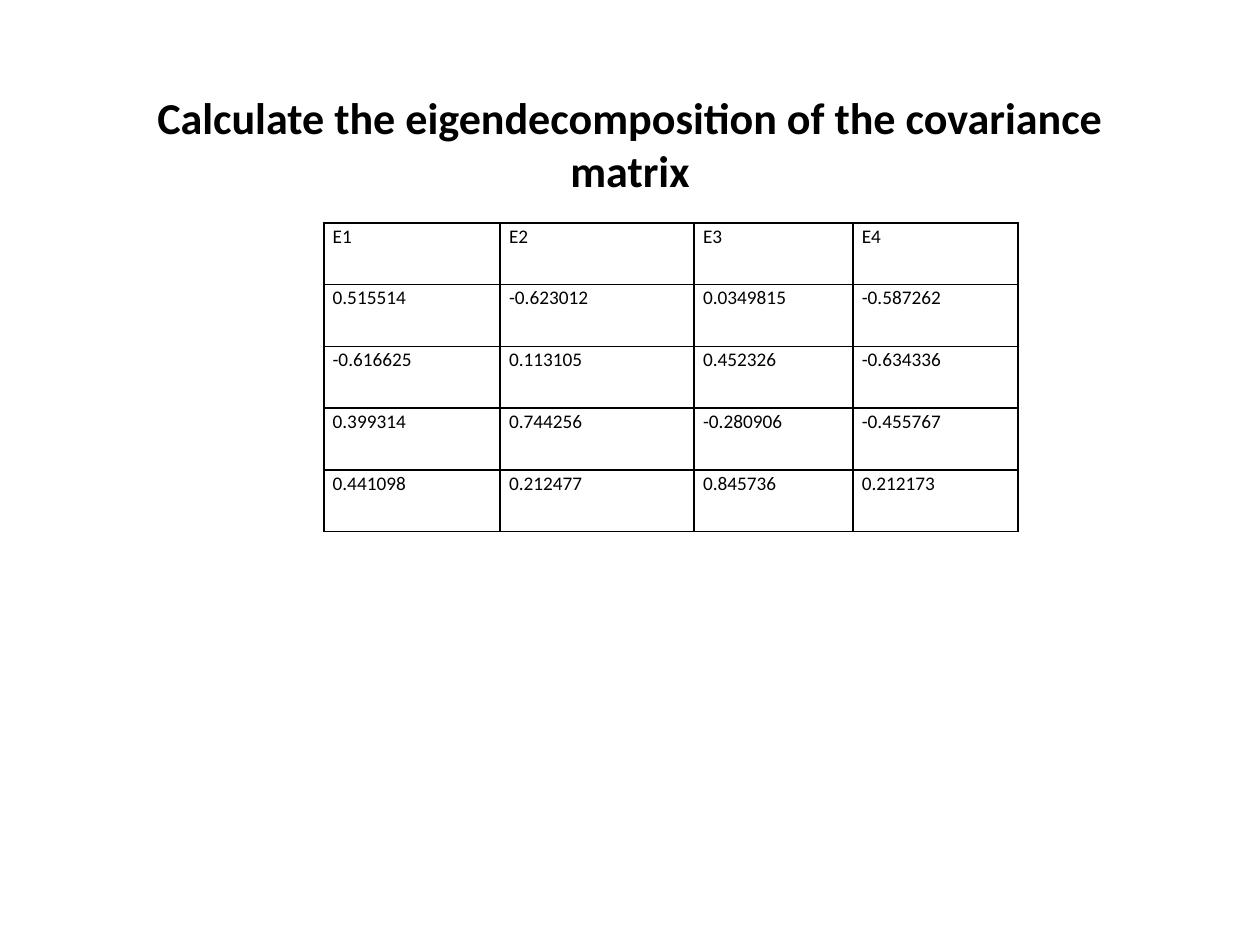
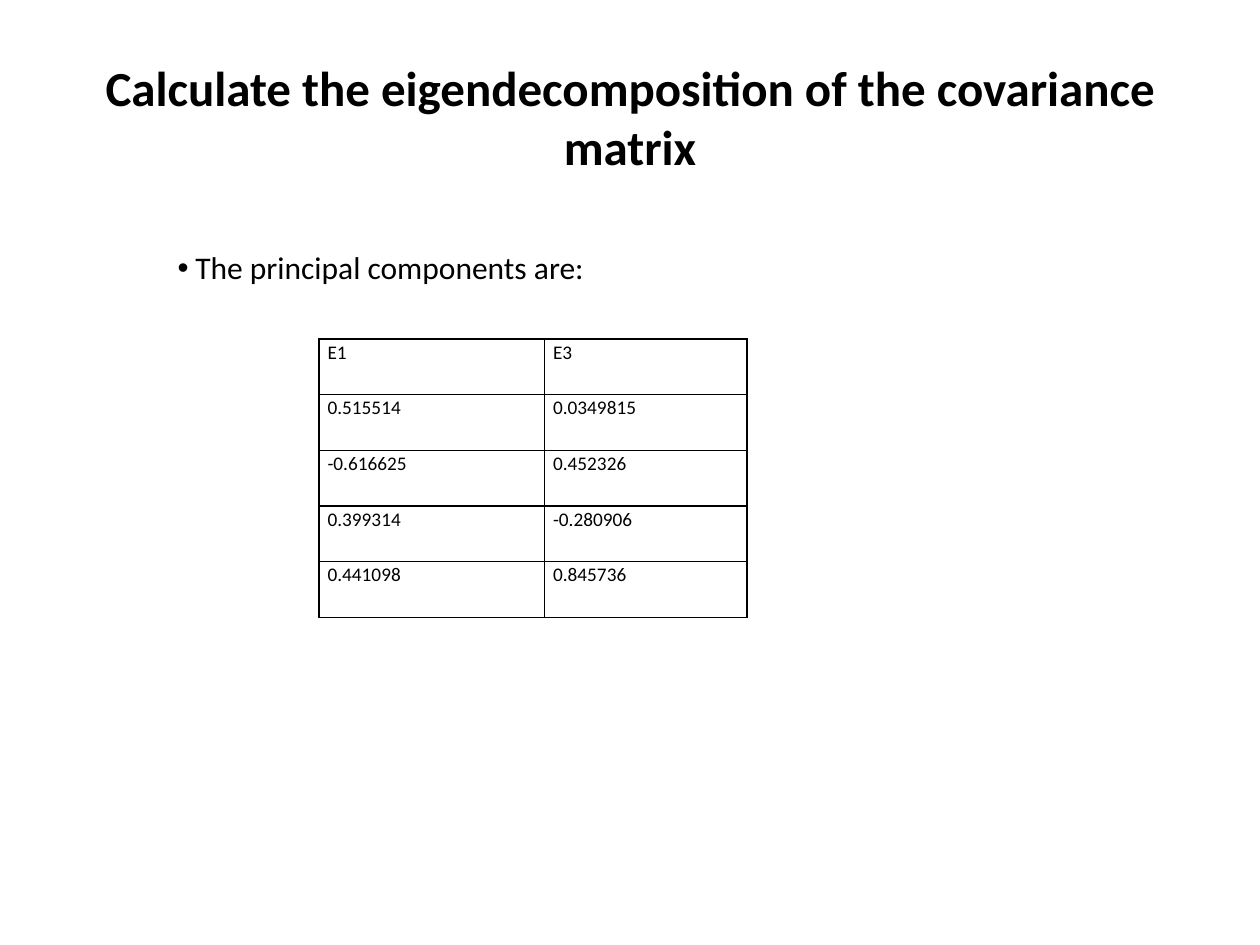
from dataclasses import dataclass

from lxml import etree
from pptx import Presentation
from pptx import util as u
from pptx.dml.color import RGBColor
from pptx.enum import text
from pptx.oxml import ns
from pptx.slide import Slide
from pptx.table import Table, _Cell
from pptx.text.text import TextFrame

BLACK = RGBColor(0x00, 0x00, 0x00)
WHITE = RGBColor(0xFF, 0xFF, 0xFF)
FONT = "Calibri"
WIDE, HIGH = u.Inches(10), u.Inches(7.5)
COLS, ROWS = 100, 75
BODY, BARE = 1, 5

TITLE = "Calculate the eigendecomposition of the covariance matrix"
VECTORS = {
    "E1": ["0.515514", "-0.616625", "0.399314", "0.441098"],
    "E2": ["-0.623012", "0.113105", "0.744256", "0.212477"],
    "E3": ["0.0349815", "0.452326", "-0.280906", "0.845736"],
    "E4": ["-0.587262", "-0.634336", "-0.455767", "0.212173"],
}


@dataclass(frozen=True)
class Box:
    left: float
    top: float
    width: float
    height: float


@dataclass(frozen=True)
class Grid:
    left: float
    top: float
    widths: dict[str, float]
    row: float


def across(cols: float) -> int:
    return round(WIDE * cols / COLS)


def down(rows: float) -> int:
    return round(HIGH * rows / ROWS)


def place(shape, box: Box) -> None:
    shape.left, shape.top = across(box.left), down(box.top)
    shape.width, shape.height = across(box.width), down(box.height)


def write(frame: TextFrame, words: str, *, size: float, bold: bool = False,
          align=text.PP_ALIGN.LEFT, anchor=text.MSO_ANCHOR.TOP,
          lead: float = 1.0, wrap: bool = True, bullet: str = "",
          hang: float = 0) -> None:
    frame.text = words
    frame.word_wrap = wrap
    frame.auto_size = text.MSO_AUTO_SIZE.NONE
    frame.vertical_anchor = anchor
    para = frame.paragraphs[0]
    para.alignment, para.line_spacing = align, lead
    para.space_before = u.Pt(0)
    if bullet:
        props = para._p.get_or_add_pPr()
        props.set("marL", str(across(hang)))
        props.set("indent", str(-across(hang)))
        etree.SubElement(props, ns.qn("a:buChar"), char=bullet)
    font = para.runs[0].font
    font.name, font.size, font.bold = FONT, u.Pt(size), bold
    font.color.rgb = BLACK


def rule(cell: _Cell) -> None:
    cell.fill.background()
    props = cell._tc.get_or_add_tcPr()
    for spot, side in enumerate("LRTB"):
        line = etree.Element(ns.qn(f"a:ln{side}"), w=str(u.Pt(1)))
        fill = etree.SubElement(line, ns.qn("a:solidFill"))
        etree.SubElement(fill, ns.qn("a:srgbClr"), val=str(BLACK))
        props.insert(spot, line)


def fill(cell: _Cell, words: str) -> None:
    cell.margin_left = cell.margin_right = u.Inches(0.07)
    cell.margin_top = cell.margin_bottom = 0
    cell.vertical_anchor = text.MSO_ANCHOR.TOP
    write(cell.text_frame, words, size=11, lead=1.07)
    rule(cell)


def draw(slide: Slide, grid: Grid) -> Table:
    count = 1 + len(VECTORS["E1"])
    table = slide.shapes.add_table(
        count, len(grid.widths), across(grid.left), down(grid.top),
        across(sum(grid.widths.values())), down(grid.row * count)).table
    table.first_row = table.horz_banding = False
    for row in table.rows:
        row.height = down(grid.row)
    for col, (name, width) in enumerate(grid.widths.items()):
        table.columns[col].width = across(width)
        for row, words in enumerate([name, *VECTORS[name]]):
            fill(table.cell(row, col), words)
    return table


def start(deck, layout: int, box: Box, size: float) -> Slide:
    slide = deck.slides.add_slide(deck.slide_layouts[layout])
    slide.background.fill.solid()
    slide.background.fill.fore_color.rgb = WHITE
    place(slide.shapes.title, box)
    write(slide.shapes.title.text_frame, TITLE, size=size, bold=True,
          align=text.PP_ALIGN.CENTER, anchor=text.MSO_ANCHOR.MIDDLE)
    return slide


def main() -> None:
    deck = Presentation()
    deck.slide_width, deck.slide_height = WIDE, HIGH

    full = start(deck, BARE, Box(7.5, 6.7, 85, 9.4), 25.2)
    draw(full, Grid(25.7, 17.7,
                    {"E1": 14, "E2": 15.4, "E3": 12.6, "E4": 13.1}, 4.9))

    main_parts = start(deck, BODY, Box(5, 3, 90, 12.5), 28)
    body = main_parts.placeholders[1]
    place(body, Box(13.1, 19.2, 49.4, 5))
    write(body.text_frame, "The principal components are:", size=18,
          wrap=False, bullet="•", hang=1.4)
    draw(main_parts, Grid(25.3, 26.9, {"E1": 17.9, "E3": 16.1}, 4.42))

    deck.save("out.pptx")


if __name__ == "__main__":
    main()
